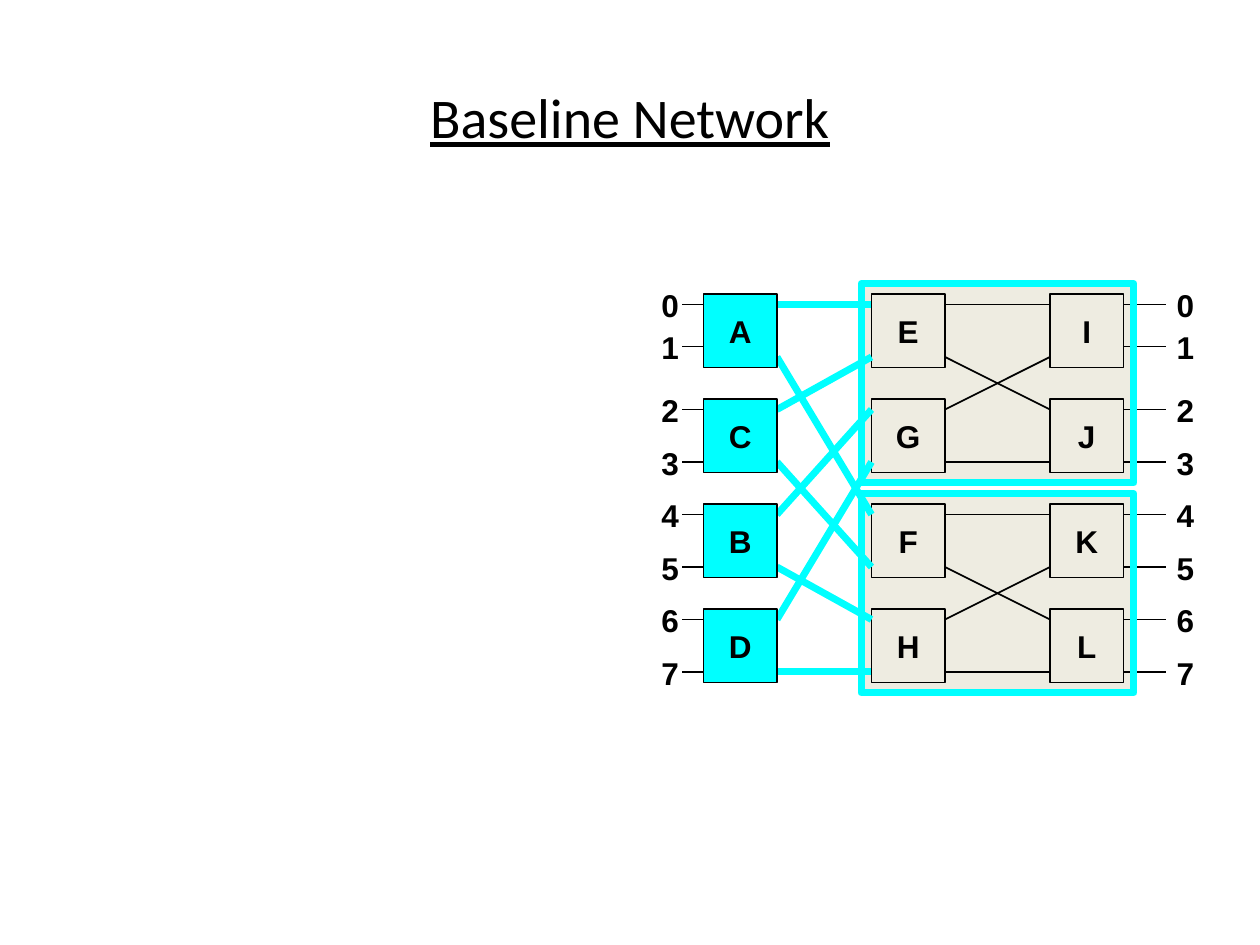
import dataclasses

import lxml.etree
import pptx
import pptx.dml.color
import pptx.enum.shapes
import pptx.enum.text
import pptx.oxml.ns
import pptx.util

Pt = pptx.util.Pt
Color = pptx.dml.color.RGBColor.from_string
Align = pptx.enum.text.PP_ALIGN
Anchor = pptx.enum.text.MSO_ANCHOR


@dataclasses.dataclass(frozen=True)
class Theme:
    ink: str = "000000"
    sand: str = "EEECE1"
    cyan: str = "00FFFF"
    head: str = "Calibri"
    body: str = "Arial"
    large: int = 32
    small: int = 18
    thin: float = 0.75
    wire: float = 1
    bold: float = 4


class Board:
    def __init__(self, slide, theme):
        self.slide = slide
        self.theme = theme

    def style(self, para, face, size):
        para.font.name = face
        para.font.size = Pt(size)
        para.font.color.rgb = Color(self.theme.ink)

    def title(self, text, left, top, width, height):
        shape = self.slide.shapes.title
        shape.left, shape.top = Pt(left), Pt(top)
        shape.width, shape.height = Pt(width), Pt(height)
        frame = shape.text_frame
        frame.text = text
        frame.vertical_anchor = Anchor.MIDDLE
        para = frame.paragraphs[0]
        para.alignment = Align.CENTER
        self.style(para, self.theme.head, self.theme.large)
        para.font.underline = True

    def rect(self, left, top, width, height, fill=None, edge=None, weight=0):
        shape = self.slide.shapes.add_shape(
            pptx.enum.shapes.MSO_SHAPE.RECTANGLE,
            Pt(left), Pt(top), Pt(width), Pt(height))
        shape.shadow.inherit = False
        if fill:
            shape.fill.solid()
            shape.fill.fore_color.rgb = Color(fill)
        else:
            shape.fill.background()
        if edge:
            shape.line.color.rgb = Color(edge)
            shape.line.width = Pt(weight)
        else:
            shape.line.fill.background()
        return shape

    def switch(self, name, left, top, size, fill):
        shape = self.rect(left, top, size, size, fill,
                          self.theme.ink, self.theme.thin)
        frame = shape.text_frame
        frame.text = name
        frame.word_wrap = False
        frame.vertical_anchor = Anchor.MIDDLE
        para = frame.paragraphs[0]
        para.alignment = Align.CENTER
        self.style(para, self.theme.body, self.theme.small)
        para.font.bold = True

    def label(self, text, left, top):
        box = self.slide.shapes.add_textbox(
            Pt(left), Pt(top), Pt(24.5), Pt(29))
        frame = box.text_frame
        frame.word_wrap = False
        frame.auto_size = pptx.enum.text.MSO_AUTO_SIZE.SHAPE_TO_FIT_TEXT
        frame.text = text
        para = frame.paragraphs[0]
        self.style(para, self.theme.body, self.theme.small)
        para.font.bold = True

    def line(self, start, end, color, weight):
        wire = self.slide.shapes.add_connector(
            pptx.enum.shapes.MSO_CONNECTOR.STRAIGHT,
            *(Pt(value) for value in (*start, *end)))
        wire.line.color.rgb = Color(color)
        wire.line.width = Pt(weight)
        lxml.etree.SubElement(wire._element.spPr,
                              pptx.oxml.ns.qn("a:effectLst"))


def shuffle(port, count):
    return port % 2 * (count // 2) + port // 2


def main():
    deck = pptx.Presentation()
    deck.slide_width, deck.slide_height = Pt(720), Pt(540)
    theme = Theme()
    board = Board(deck.slides.add_slide(deck.slide_layouts[5]), theme)
    board.title("Baseline Network", 36, 21.6, 648, 90)

    size, step, top = 42, 60, 168
    first, second, third = 402, 498, 600
    ports = [174 + 30 * port for port in range(8)]
    outer = [198 if port == 1 else y for port, y in enumerate(ports)]
    panels = [(492, y, 156, 114) for y in (162, 282)]

    for panel in panels:
        board.rect(*panel, fill=theme.sand)
    for port, y in enumerate(outer):
        board.line((390, y), (first, y), theme.ink, theme.thin)
        board.line((third + size, y), (666, y), theme.ink, theme.thin)
        for left in (370.8, 665.3):
            board.label(str(port), left, y - 14)
    for panel in panels:
        board.rect(*panel, edge=theme.cyan, weight=theme.bold)

    for left, names in ((second, "EGFH"), (third, "IJKL")):
        for row, name in enumerate(names):
            board.switch(name, left, top + step * row, size, theme.sand)
    for half in (ports[:4], ports[4:]):
        for port, y in enumerate(half):
            board.line((second + size, y), (third, half[shuffle(port, 4)]),
                       theme.ink, theme.wire)
    for port, y in enumerate(ports):
        board.line((first + size, y), (second, ports[shuffle(port, 8)]),
                   theme.cyan, theme.bold)
    for row, name in enumerate("ACBD"):
        board.switch(name, first, top + step * row, size, theme.cyan)

    deck.save("out.pptx")


if __name__ == "__main__":
    main()
